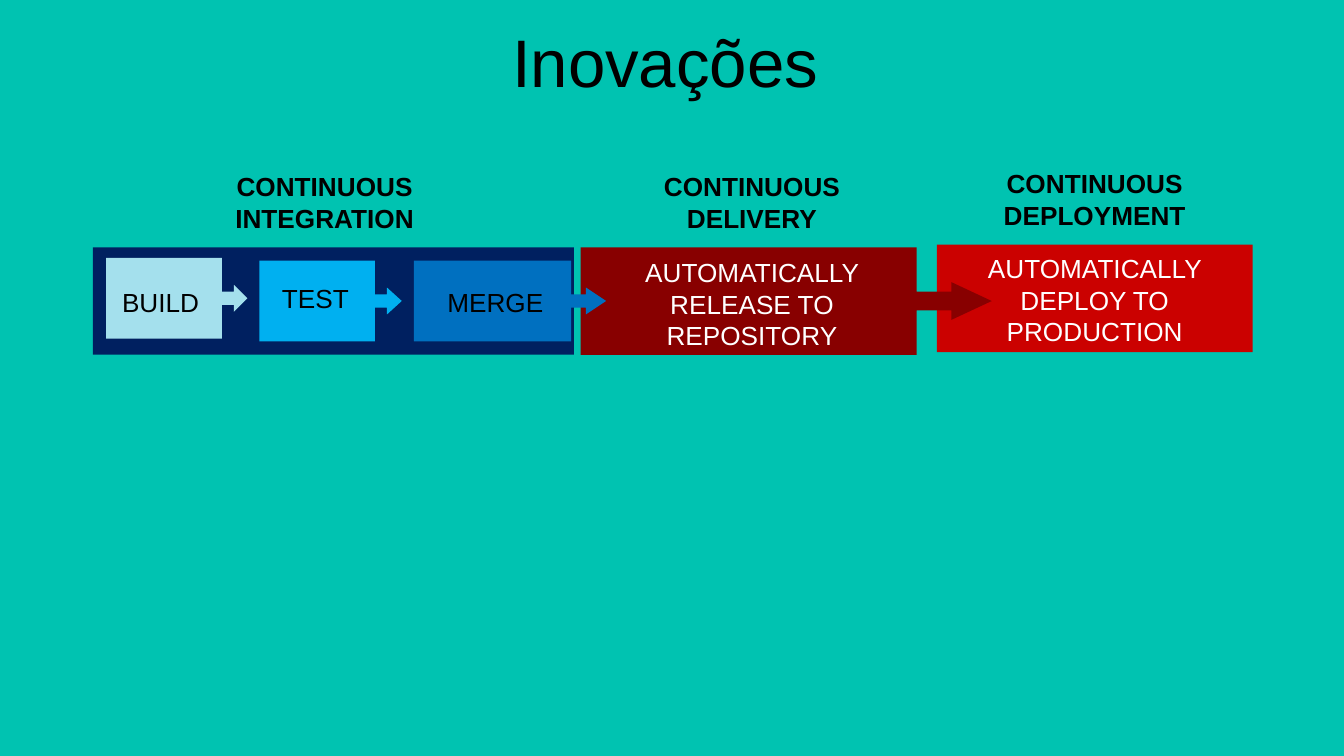
from dataclasses import dataclass

import pptx
import pptx.dml.color
import pptx.enum.shapes
import pptx.enum.text
import pptx.util

Inches = pptx.util.Inches
Align = pptx.enum.text.PP_ALIGN

COLORS = {
    "teal": "00C3B1", "navy": "002060", "pale": "A4E0ED", "sky": "00B0F0",
    "blue": "0070C0", "maroon": "880000", "red": "CB0100",
    "black": "000000", "white": "FFFFFF",
}


@dataclass(frozen=True)
class Panel:
    left: float
    top: float
    width: float
    height: float
    color: str


@dataclass(frozen=True)
class ArrowBlock:
    """A rectangle with an arrow growing out of its right side."""
    left: float
    top: float
    width: float
    height: float
    stem: float
    head: float
    stem_half: float
    head_half: float
    color: str


@dataclass(frozen=True)
class Label:
    text: str
    left: float
    top: float
    width: float
    height: float
    color: str = "black"
    bold: bool = False
    align: Align = Align.CENTER


PANELS = [
    Panel(6.97, 1.82, 2.35, 0.8, "red"),
    Panel(0.69, 1.84, 3.58, 0.8, "navy"),
]

ARROW_BLOCKS = [
    ArrowBlock(0.79, 1.92, 0.86, 0.6, 0.09, 0.1, 0.05, 0.1, "pale"),
    ArrowBlock(1.93, 1.94, 0.86, 0.6, 0.09, 0.11, 0.05, 0.1, "sky"),
    ArrowBlock(4.32, 1.84, 2.5, 0.8, 0.26, 0.3, 0.07, 0.14, "maroon"),
    ArrowBlock(3.08, 1.94, 1.17, 0.6, 0.11, 0.15, 0.05, 0.1, "blue"),
]

COLUMN_WIDTH = 1.95
LABELS = [
    Label("BUILD", 0.81, 2.08, 0.84, 0.34, align=Align.LEFT),
    Label("TEST", 2, 2.05, 0.84, 0.34, align=Align.LEFT),
    Label("MERGE", 3.23, 2.08, 0.95, 0.34, align=Align.LEFT),
    Label("AUTOMATICALLY RELEASE TO REPOSITORY", 4.62, 1.86, COLUMN_WIDTH, 0.81, "white"),
    Label("AUTOMATICALLY DEPLOY TO PRODUCTION", 7.17, 1.83, COLUMN_WIDTH, 0.81, "white"),
    Label("CONTINUOUS INTEGRATION", 1.44, 1.22, COLUMN_WIDTH, 0.57, bold=True),
    Label("CONTINUOUS DELIVERY", 4.62, 1.22, COLUMN_WIDTH, 0.57, bold=True),
    Label("CONTINUOUS DEPLOYMENT", 7.17, 1.2, COLUMN_WIDTH, 0.57, bold=True),
]
TITLE = Label("Inovações", 3.71, 0.1, 2.59, 0.71, align=Align.LEFT)


def rgb(name: str) -> pptx.dml.color.RGBColor:
    return pptx.dml.color.RGBColor.from_string(COLORS[name])


def paint(shape, color: str) -> None:
    shape.shadow.inherit = False
    shape.fill.solid()
    shape.fill.fore_color.rgb = rgb(color)
    shape.line.fill.background()


def draw_panel(page, panel: Panel) -> None:
    box = page.shapes.add_shape(
        pptx.enum.shapes.MSO_SHAPE.RECTANGLE,
        *map(Inches, (panel.left, panel.top, panel.width, panel.height)))
    paint(box, panel.color)


def draw_arrow_block(page, block: ArrowBlock) -> None:
    right = block.left + block.width
    bottom = block.top + block.height
    middle = block.top + block.height / 2
    neck = right + block.stem
    corners = [
        (block.left, block.top), (right, block.top),
        (right, middle - block.stem_half), (neck, middle - block.stem_half),
        (neck, middle - block.head_half), (neck + block.head, middle),
        (neck, middle + block.head_half), (neck, middle + block.stem_half),
        (right, middle + block.stem_half), (right, bottom), (block.left, bottom),
    ]
    points = [(Inches(x), Inches(y)) for x, y in corners]
    builder = page.shapes.build_freeform(*points[0])
    builder.add_line_segments(points[1:], close=True)
    paint(builder.convert_to_shape(), block.color)


def write(box, label: Label, size: int) -> None:
    frame = box.text_frame
    frame_format = {
        "word_wrap": True,
        "auto_size": pptx.enum.text.MSO_AUTO_SIZE.NONE,
        "vertical_anchor": pptx.enum.text.MSO_ANCHOR.TOP,
    }
    for name, value in frame_format.items():
        setattr(frame, name, value)
    para = frame.paragraphs[0]
    para.alignment = label.align
    span = para.add_run()
    span.text = label.text
    font_format = {"name": "Arial", "size": pptx.util.Pt(size), "bold": label.bold}
    for name, value in font_format.items():
        setattr(span.font, name, value)
    span.font.color.rgb = rgb(label.color)


def draw_label(page, label: Label) -> None:
    box = page.shapes.add_textbox(
        *map(Inches, (label.left, label.top, label.width, label.height)))
    write(box, label, 14)


def place_title(page, label: Label) -> None:
    title = page.shapes.title
    for name in ("left", "top", "width", "height"):
        setattr(title, name, Inches(getattr(label, name)))
    write(title, label, 36)


def main() -> None:
    deck = pptx.Presentation()
    deck.slide_width, deck.slide_height = Inches(10), Inches(10 * 9 / 16)
    page = deck.slides.add_slide(deck.slide_layouts.get_by_name("Title Only"))
    page.background.fill.solid()
    page.background.fill.fore_color.rgb = rgb("teal")

    place_title(page, TITLE)
    for panel in PANELS:
        draw_panel(page, panel)
    for block in ARROW_BLOCKS:
        draw_arrow_block(page, block)
    for label in LABELS:
        draw_label(page, label)
    deck.save("out.pptx")


if __name__ == "__main__":
    main()
